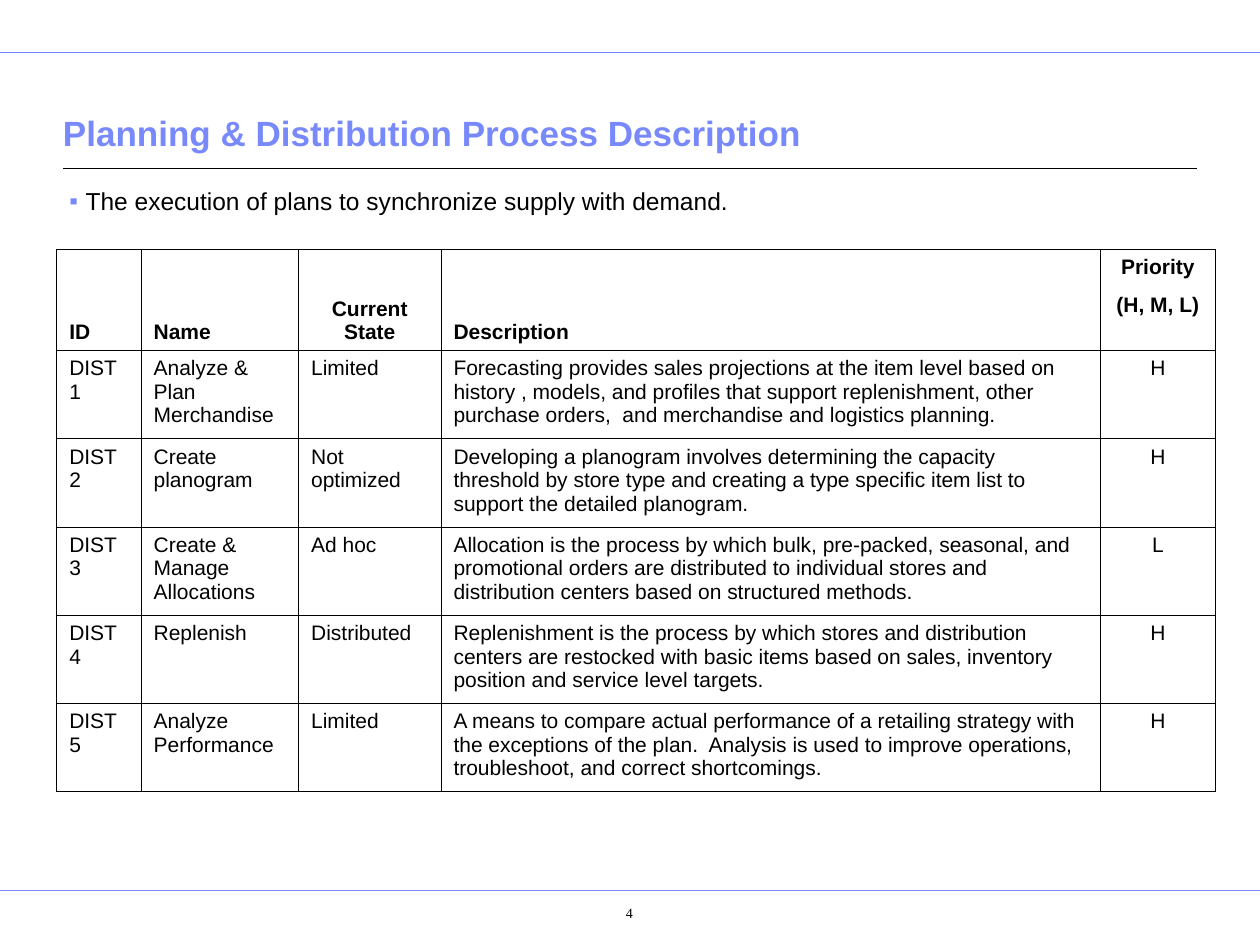
import pptx
import pptx.util
import pptx.dml.color
import pptx.enum.shapes
import pptx.enum.text
import pptx.oxml.ns
import lxml.etree
from pptx.util import Inches

BLACK = pptx.dml.color.RGBColor(0x00, 0x00, 0x00)
WHITE = pptx.dml.color.RGBColor(0xFF, 0xFF, 0xFF)
PERIWINKLE = pptx.dml.color.RGBColor(0x78, 0x89, 0xFB)
CENTER = pptx.enum.text.PP_ALIGN.CENTER
BOTTOM = pptx.enum.text.MSO_ANCHOR.BOTTOM
TOP = pptx.enum.text.MSO_ANCHOR.TOP


def add_element(parent, tag, **attributes):
    element = lxml.etree.SubElement(parent, pptx.oxml.ns.qn(tag))
    for name, value in attributes.items():
        element.set(name, str(value))
    return element


def add_run(paragraph, text, size, color=BLACK, bold=False, font="Arial"):
    run = paragraph.add_run()
    run.text = text
    run.font.name = font
    run.font.size = pptx.util.Pt(size)
    run.font.bold = bold
    run.font.color.rgb = color


presentation = pptx.Presentation()
presentation.slide_width = Inches(10)
presentation.slide_height = Inches(7.5)
slide = presentation.slides.add_slide(presentation.slide_layouts[6])

# Rules above, below and under the title
for left, right, top, color, width in [
    (0, 10, 0.42, PERIWINKLE, 0.5),
    (0, 10, 7.07, PERIWINKLE, 0.5),
    (0.5, 9.5, 1.34, BLACK, 0.75),
]:
    rule = slide.shapes.add_connector(
        pptx.enum.shapes.MSO_CONNECTOR.STRAIGHT,
        Inches(left), Inches(top), Inches(right), Inches(top))
    rule.line.color.rgb = color
    rule.line.width = pptx.util.Pt(width)
    add_element(rule._element.spPr, "a:effectLst")

# Text boxes: position, margins (left, top, right, bottom), anchor
text_frames = []
for position, margins, anchor in [
    ((0.5, 0.64, 9, 0.63), (0, 0.05, 0, 0.05), BOTTOM),
    ((0.5, 1.42, 9, 0.5), (0.05, 0.05, 0.05, 0.05), TOP),
    ((4.27, 7.11, 1.15, 0.35), (0.16, 0.07, 0.1, 0.05), TOP),
]:
    frame = slide.shapes.add_textbox(*map(Inches, position)).text_frame
    frame.word_wrap = True
    frame.vertical_anchor = anchor
    (frame.margin_left, frame.margin_top,
     frame.margin_right, frame.margin_bottom) = map(Inches, margins)
    text_frames.append(frame)
title, summary, page_number = [frame.paragraphs[0] for frame in text_frames]

add_run(title, "Planning & Distribution Process Description", 20, PERIWINKLE, bold=True)

summary.line_spacing = 1.04
summary_properties = summary._p.get_or_add_pPr()
summary_properties.set("marL", str(Inches(0.13)))
summary_properties.set("indent", str(Inches(-0.13)))
bullet_color = add_element(summary_properties, "a:buClr")
add_element(bullet_color, "a:srgbClr", val=PERIWINKLE)
add_element(summary_properties, "a:buFont", typeface="Arial")
add_element(summary_properties, "a:buChar", char="▪")
add_run(summary, "The execution of plans to synchronize supply with demand.", 14)

page_number.alignment = CENTER
page_number._p.get_or_add_pPr().set("marL", str(Inches(0.24)))
add_run(page_number, "4", 8, font="Times New Roman")

# Process table: the header takes two rows, merged except under Priority
rows = [
    ("ID", "Name", "Current State", "Description", "Priority"),
    ("", "", "", "", "(H, M, L)"),
    ("DIST1", "Analyze & Plan Merchandise", "Limited",
     "Forecasting provides sales projections at the item level based on history , "
     "models, and profiles that support replenishment, other purchase orders,  and "
     "merchandise and logistics planning.", "H"),
    ("DIST2", "Create planogram", "Not optimized",
     "Developing a planogram involves determining the capacity threshold by store "
     "type and creating a type specific item list to support the detailed planogram.", "H"),
    ("DIST3", "Create & Manage Allocations", "Ad hoc",
     "Allocation is the process by which bulk, pre-packed, seasonal, and promotional "
     "orders are distributed to individual stores and distribution centers based on "
     "structured methods.", "L"),
    ("DIST4", "Replenish", "Distributed",
     "Replenishment is the process by which stores and distribution centers are "
     "restocked with basic items based on sales, inventory position and service "
     "level targets.", "H"),
    ("DIST5", "Analyze Performance", "Limited",
     "A means to compare actual performance of a retailing strategy with the "
     "exceptions of the plan.  Analysis is used to improve operations, troubleshoot, "
     "and correct shortcomings.", "H"),
]
column_widths = [0.67, 1.25, 1.13, 5.23, 0.92]
row_heights = [0.29, 0.48] + [0.66] * 5
STATE, PRIORITY = 2, 4

table = slide.shapes.add_table(
    len(rows), len(column_widths), Inches(0.45), Inches(1.98),
    Inches(sum(column_widths)), Inches(sum(row_heights))).table
table.first_row = False
table.horz_banding = False
for column, width in zip(table.columns, column_widths):
    column.width = Inches(width)
for row, height in zip(table.rows, row_heights):
    row.height = Inches(height)

for row_index, texts in enumerate(rows):
    is_header = row_index < 2
    for column_index, text in enumerate(texts):
        cell = table.cell(row_index, column_index)
        cell.margin_left = cell.margin_right = Inches(0.1)
        cell.margin_top = cell.margin_bottom = Inches(0.05)
        is_priority = column_index == PRIORITY
        cell.vertical_anchor = BOTTOM if is_header and not is_priority else TOP

        open_sides = {0: ["a:lnB"], 1: ["a:lnT"]}.get(row_index, []) if is_priority else []
        cell_properties = cell._tc.get_or_add_tcPr()
        for side in ("a:lnL", "a:lnR", "a:lnT", "a:lnB"):
            border = add_element(cell_properties, side, w=pptx.util.Pt(0.45))
            if side in open_sides:
                add_element(border, "a:noFill")
            else:
                add_element(add_element(border, "a:solidFill"), "a:srgbClr", val=BLACK)
        cell.fill.solid()
        cell.fill.fore_color.rgb = WHITE

        paragraph = cell.text_frame.paragraphs[0]
        if is_priority or (is_header and column_index == STATE):
            paragraph.alignment = CENTER
        if text:
            add_run(paragraph, text, 12, bold=is_header)
        else:
            add_element(paragraph._p, "a:endParaRPr", sz=1200)

for column_index in range(PRIORITY):
    table.cell(0, column_index).merge(table.cell(1, column_index))

presentation.save("out.pptx")
